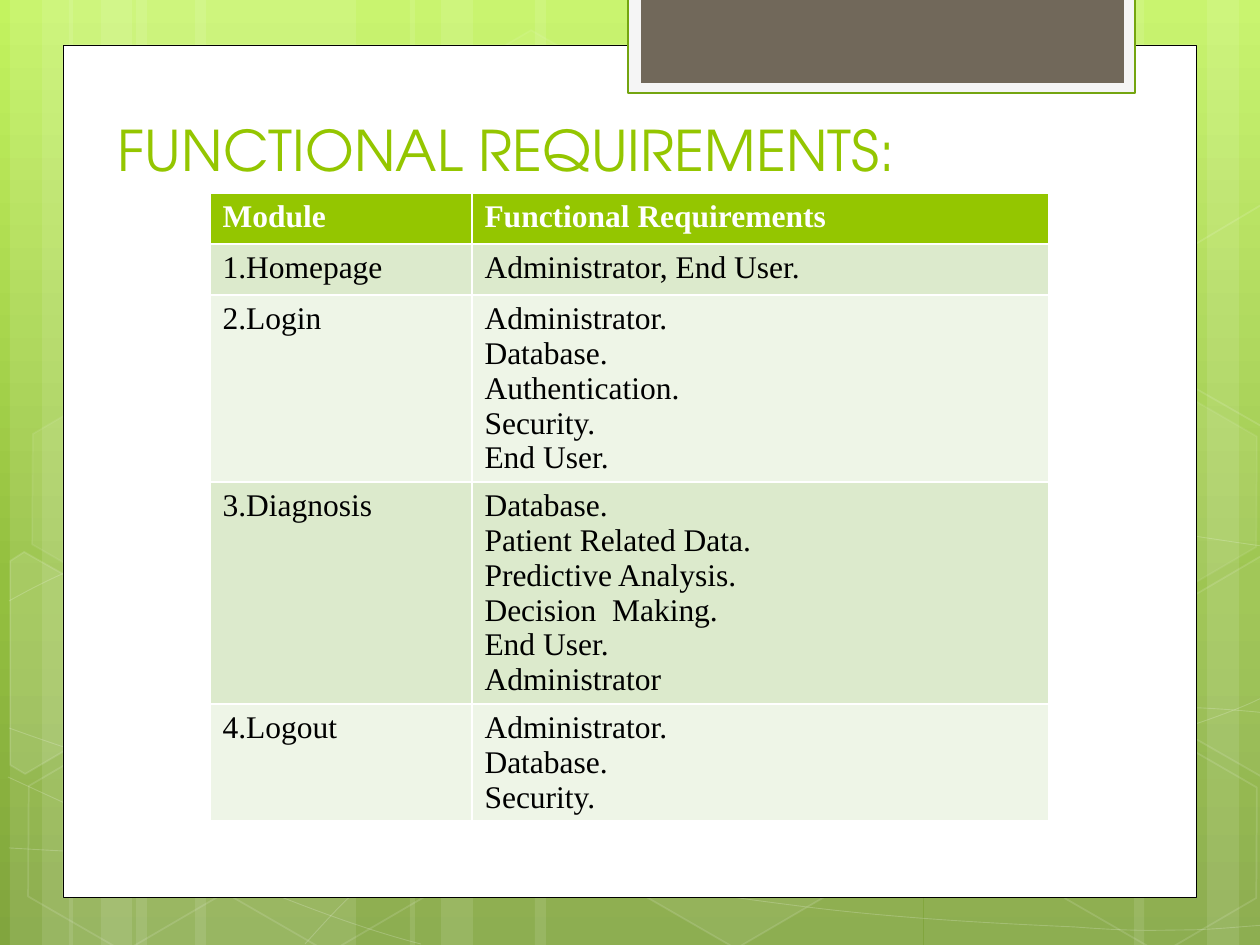
import copy
import math
from pptx import Presentation
from pptx import util as u
from pptx.dml.color import RGBColor
from pptx.enum import shapes, text
from pptx.oxml import ns
from lxml import etree

COLORS = {
    "white": "FFFFFF", "black": "000000", "green": "94C600", "edge": "74A510",
    "tab": "71685A", "tab_edge": "F5F5F5", "band": "DCEACC", "band_light": "EEF5E7",
    "sky": "C3F35F", "leaf": "93BF3F", "moss": "81A53E",
}
W, H = 1260, 945


def px(n):
    return u.Emu(round(n * 914400 / 126))


def rgb(name):
    return RGBColor.from_string(COLORS[name])


def write(p, words, size=18, font="Times New Roman", color="black", bold=False):
    r = p.add_run()
    r.text = words
    r.font.size, r.font.name, r.font.bold = u.Pt(size), font, bold
    r.font.color.rgb = rgb(color)


def set_alpha(fill_element, percent):
    for clr in fill_element.iter(ns.qn("a:srgbClr")):
        etree.SubElement(clr, ns.qn("a:alpha")).set("val", str(percent * 1000))


def turn(point, center, degrees):
    a = math.radians(degrees)
    dx, dy = point[0] - center[0], point[1] - center[1]
    return (center[0] + dx * math.cos(a) - dy * math.sin(a),
            center[1] + dx * math.sin(a) + dy * math.cos(a))


class Deck:
    def __init__(self):
        self.prs = Presentation()
        self.prs.slide_width, self.prs.slide_height = px(W), px(H)
        self.s = self.prs.slides.add_slide(self.prs.slide_layouts[5])

    def background(self, stops):
        fill = self.s.background.fill
        fill.gradient()
        fill.gradient_angle = 270
        gs_list = next(self.s.element.iter(ns.qn("a:gsLst")))
        gs_list.insert(1, copy.deepcopy(gs_list[0]))
        for stop, (position, color) in zip(fill.gradient_stops, stops):
            stop.position = position
            stop.color.rgb = rgb(color)

    def style(self, sp, fill=None, alpha=None, line=None, width=1, line_alpha=None):
        sp.shadow.inherit = False
        if fill:
            sp.fill.solid()
            sp.fill.fore_color.rgb = rgb(fill)
            if alpha:
                set_alpha(sp.element.spPr.find(ns.qn("a:solidFill")), alpha)
        else:
            sp.fill.background()
        if line:
            sp.line.width = u.Pt(width)
            sp.line.color.rgb = rgb(line)
            if line_alpha:
                set_alpha(sp.element.spPr.find(ns.qn("a:ln")), line_alpha)
        else:
            sp.line.fill.background()

    def rect(self, x, y, w, h, rotation=0, **look):
        sp = self.s.shapes.add_shape(shapes.MSO_SHAPE.RECTANGLE, px(x), px(y), px(w), px(h))
        sp.rotation = rotation
        self.style(sp, **look)

    def hexagon(self, x, y, **look):
        sp = self.s.shapes.add_shape(shapes.MSO_SHAPE.HEXAGON, px(x), px(y), px(220), px(192))
        sp.adjustments[0] = 0.285
        sp.rotation = 30
        self.style(sp, **look)

    def outline(self, points, close=False, **look):
        pts = [(px(x), px(y)) for x, y in points]
        builder = self.s.shapes.build_freeform(*pts[0])
        builder.add_line_segments(pts[1:], close=close)
        sp = builder.convert_to_shape()
        self.style(sp, **look)
        return sp

    def cut_hexagon(self, points, center, **look):
        flat = [turn(point, center, -30) for point in points]
        self.outline(flat, close=True, **look).rotation = 30

    def curve(self, points, **look):
        sp = self.outline(points, **look)
        segments = list(sp.element.iter(ns.qn("a:lnTo")))
        for i in range(0, len(segments), 3):
            first, *others = segments[i:i + 3]
            first.tag = ns.qn("a:cubicBezTo")
            for other in others:
                first.append(other[0])
                other.getparent().remove(other)

    def title(self, words, x, y, w, h):
        sp = self.s.shapes.title
        sp.left, sp.top, sp.width, sp.height = map(px, (x, y, w, h))
        self.s.shapes.element.append(sp.element)
        tf = sp.text_frame
        tf.word_wrap = True
        tf.vertical_anchor = text.MSO_ANCHOR.BOTTOM
        p = tf.paragraphs[0]
        p.alignment = text.PP_ALIGN.LEFT
        write(p, words, size=32, font="TeX Gyre Adventor", color="green")

    def table(self, rows, x, y, widths, height):
        frame = self.s.shapes.add_table(len(rows), len(widths), px(x), px(y),
                                        px(sum(widths)), px(height * len(rows)))
        table = frame.table
        for column, width in zip(table.columns, widths):
            column.width = px(width)
        for i, row in enumerate(rows):
            table.rows[i].height = px(height)
            band = "green" if i == 0 else "band" if i % 2 else "band_light"
            for j, lines in enumerate(row):
                cell = table.cell(i, j)
                cell.fill.solid()
                cell.fill.fore_color.rgb = rgb(band)
                tf = cell.text_frame
                for k, words in enumerate(lines):
                    p = tf.add_paragraph() if k else tf.paragraphs[0]
                    write(p, words, color="black" if i else "white", bold=i == 0)


STRIPES = [(136, 220, 0), (10, 63, 0), (42, 105, 0), (195, 220, 0), (69, 63, 0),
           (101, 105, 0), (924, 220, 180), (1207, 63, 180), (1134, 105, 180),
           (535, 388, 0), (410, 63, 0), (441, 105, 0)]
CURVES = [
    [(9, 848), (77, 852), (145, 856), (239, 854), (334, 853), (451, 850), (577, 838),
     (703, 826), (882, 801), (998, 777), (1113, 753), (1231, 716), (1269, 694)],
    [(9, 601), (45, 581), (82, 562), (152, 543), (224, 524), (326, 499), (437, 488),
     (549, 479), (685, 478), (824, 488), (963, 498), (1193, 537), (1269, 547)],
    [(8, 777), (160, 847), (311, 916), (421, 944)],
    [(9, 728), (48, 742), (88, 756), (161, 776), (234, 795), (344, 827), (450, 848),
     (554, 869), (687, 892), (791, 905), (896, 919), (1008, 924), (1075, 927),
     (1140, 932), (1158, 930), (1191, 930), (1223, 929), (1246, 926), (1269, 925)],
    [(305, 944), (328, 919), (350, 893), (381, 871), (411, 848), (454, 823), (489, 805),
     (524, 788), (546, 780), (592, 767), (638, 754), (722, 737), (766, 728),
     (811, 719), (818, 719), (857, 717), (896, 713), (958, 709), (1000, 708),
     (1045, 707), (1116, 708), (1116, 708), (1144, 708), (1173, 708), (1201, 708),
     (1223, 709), (1245, 711), (1256, 712), (1264, 713), (1260, 712), (1268, 713)],
]
HEXAGONS = [(421, 45, 4, 8), (626, 742, 6, 12), (14, 745, None, 12), (18, 393, 7, 8),
            (219, 746, None, 12), (949, 571, 10, 12), (1051, 747, None, 12),
            (1051, 396, 7, 8)]
CUT_HEXAGONS = [
    (10, (45, 674),
     [(10, 561), (24, 552), (121, 607), (120, 718), (25, 774), (10, 765)]),
    (4, (1241, 655),
     [(1167, 611), (1261, 556), (1271, 562), (1271, 772), (1263, 777), (1167, 722)]),
    (None, (1241, 304),
     [(1167, 261), (1261, 205), (1273, 212), (1271, 422), (1263, 427), (1167, 372)]),
]
REQUIREMENTS = [
    (["Module"], ["Functional Requirements"]),
    (["1.Homepage"], ["Administrator, End User."]),
    (["2.Login"], ["Administrator.", "Database.", "Authentication.", "Security.", "End User."]),
    (["3.Diagnosis"], ["Database.", "Patient Related Data.", "Predictive Analysis.",
                       "Decision  Making.", "End User.", "Administrator"]),
    (["4.Logout"], ["Administrator.", "Database.", "Security."]),
]

deck = Deck()
deck.background([(0, "sky"), (0.62, "leaf"), (1, "moss")])
for x, w, rotation in STRIPES:
    deck.rect(x, 0, w, H, rotation=rotation, fill="white", alpha=10)
for points in CURVES:
    deck.curve(points, line="white", width=0.5, line_alpha=20)
for x, y, alpha, line_alpha in HEXAGONS:
    deck.hexagon(x, y, fill="white" if alpha else None, alpha=alpha,
                 line="white", line_alpha=line_alpha)
for alpha, center, points in CUT_HEXAGONS:
    deck.cut_hexagon(points, center, fill="white" if alpha else None, alpha=alpha,
                     line="white", line_alpha=12)
deck.rect(63, 45, 1134, 853, fill="white", line="black", width=0.5)
deck.rect(628, -3, 507, 96, fill="tab_edge", line="edge", width=1.25)
deck.rect(641, -3, 483, 86, fill="tab")
deck.title("FUNCTIONAL REQUIREMENTS:", 105, 95, 1007, 94)
deck.table(REQUIREMENTS, 210, 193, (262, 577), 51)
deck.prs.save("out.pptx")
